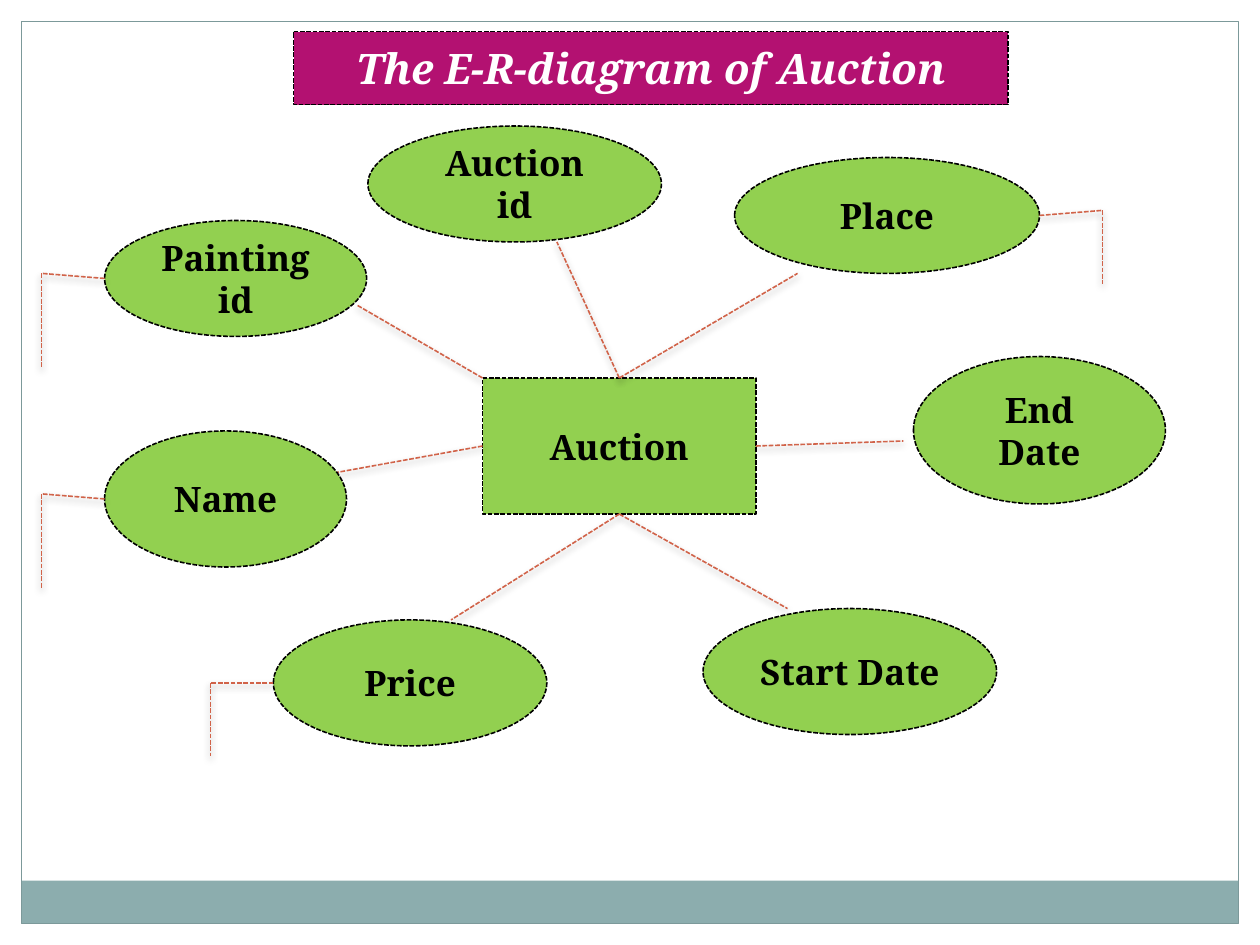
from dataclasses import dataclass

from lxml import etree
from pptx import Presentation
from pptx.dml.color import RGBColor
from pptx.enum.dml import MSO_LINE
from pptx.enum.shapes import MSO_CONNECTOR, MSO_SHAPE
from pptx.enum.text import MSO_ANCHOR, PP_ALIGN
from pptx.oxml import parse_xml
from pptx.util import Inches, Pt

RECT = MSO_SHAPE.RECTANGLE
PROCESS = MSO_SHAPE.FLOWCHART_PROCESS
OVAL = MSO_SHAPE.OVAL
STRAIGHT = MSO_CONNECTOR.STRAIGHT
DASH = MSO_LINE.SQUARE_DOT
MIDDLE = MSO_ANCHOR.MIDDLE
CENTER = PP_ALIGN.CENTER


@dataclass(frozen=True)
class Theme:
    font: str = "Noto Serif"
    title_size: float = 24
    label_size: float = 20
    line_width: float = 0.9
    frame_width: float = 0.75
    ink: str = "000000"
    white: str = "FFFFFF"
    node: str = "92D050"
    title: str = "B31171"
    link: str = "D16349"
    band: str = "8CADAE"
    frame: str = "7C999A"


THEME = Theme()

SHADOW = (
    '<a:effectLst xmlns:a="http://schemas.openxmlformats.org/drawingml/2006/main">'
    '<a:outerShdw blurRad="50800" dist="25400" dir="5400000" rotWithShape="0">'
    '<a:srgbClr val="000000"><a:alpha val="35000"/></a:srgbClr>'
    '</a:outerShdw></a:effectLst>'
)


def rgb(value):
    return RGBColor.from_string(value)


def set_line(line, color, width, dash=None):
    line.color.rgb = rgb(color)
    line.width = Pt(width)
    if dash:
        line.dash_style = dash


def add_block(s, kind, box, fill=None):
    sp = s.shapes.add_shape(kind, *(Inches(v) for v in box))
    sp.shadow.inherit = False
    if fill:
        sp.fill.solid()
        sp.fill.fore_color.rgb = rgb(fill)
    else:
        sp.fill.background()
    sp.line.fill.background()
    return sp


def add_label(s, kind, box, text, fill, **formats):
    sp = add_block(s, kind, box, fill)
    set_line(sp.line, THEME.ink, THEME.line_width, DASH)
    tf = sp.text_frame
    tf.word_wrap = True
    tf.vertical_anchor = MIDDLE
    p = tf.paragraphs[0]
    p.alignment = CENTER
    r = p.add_run()
    r.text = text
    values = {"name": THEME.font, "size": Pt(THEME.label_size), "bold": True}
    for name, value in {**values, **formats}.items():
        setattr(r.font, name, value)
    r.font.color.rgb = rgb(THEME.white if fill == THEME.title else THEME.ink)


def add_link(s, start, end):
    link = s.shapes.add_connector(STRAIGHT, *(Inches(v) for v in (*start, *end)))
    set_line(link.line, THEME.link, THEME.line_width, DASH)
    link._element.spPr.append(parse_xml(SHADOW))


def add_frame(s, box):
    left, top, width, height = box
    band = 0.34
    add_block(s, RECT, (left, top + height - band, width, band), THEME.band)
    border = add_block(s, RECT, box)
    set_line(border.line, THEME.frame, THEME.frame_width)


def add_title(s, box, text):
    add_label(s, PROCESS, box, text, THEME.title, size=Pt(THEME.title_size), italic=True)


def add_entity(s, box, text, spokes):
    left, top, width, height = box
    add_label(s, PROCESS, box, text, THEME.node)
    for (across, down), end in spokes:
        add_link(s, (left + across * width, top + down * height), end)


def add_hook(s, box, reach, rise, drop):
    left, top, width, height = box
    start = (left + width if reach > 0 else left, top + height / 2)
    corner = (start[0] + reach, start[1] - rise)
    add_link(s, start, corner)
    add_link(s, corner, (corner[0], corner[1] + drop))


TOP, BOTTOM, LEFT, RIGHT = (0.5, 0), (0.5, 1), (0, 0.5), (1, 0.5)
CORNER = (0, 0)
SPOKES = [
    (TOP, (4.42, 1.92)),
    (RIGHT, (7.17, 3.5)),
    (LEFT, (2.67, 3.75)),
    (BOTTOM, (3.58, 4.92)),
    (BOTTOM, (6.25, 4.83)),
    (TOP, (6.33, 2.17)),
    (CORNER, (2.83, 2.42)),
]
ATTRIBUTES = {
    "Auction id": (2.92, 1, 2.33, 0.92),
    "Place": (5.83, 1.25, 2.42, 0.92),
    "End Date": (7.25, 2.83, 2, 1.17),
    "Start Date": (5.58, 4.83, 2.33, 1),
    "Price": (2.17, 4.92, 2.17, 1),
    "Name": (0.83, 3.42, 1.92, 1.08),
    "Painting id": (0.83, 1.75, 2.08, 0.92),
}
HOOKS = {
    "Painting id": (-0.5, 0.04, 0.75),
    "Name": (-0.5, 0.04, 0.75),
    "Price": (-0.5, 0, 0.58),
    "Place": (0.5, 0.04, 0.58),
}

prs = Presentation()
prs.slide_width = Inches(10)
prs.slide_height = Inches(7.5)
s = prs.slides.add_slide(prs.slide_layouts[6])

add_frame(s, (0.17, 0.17, 9.66, 7.16))
add_entity(s, (3.83, 3, 2.17, 1.08), "Auction", SPOKES)
for text, box in ATTRIBUTES.items():
    add_label(s, OVAL, box, text, THEME.node)
add_title(s, (2.33, 0.25, 5.67, 0.58), "The E-R-diagram of Auction")
for text, hook in HOOKS.items():
    add_hook(s, ATTRIBUTES[text], *hook)

prs.save("out.pptx")
